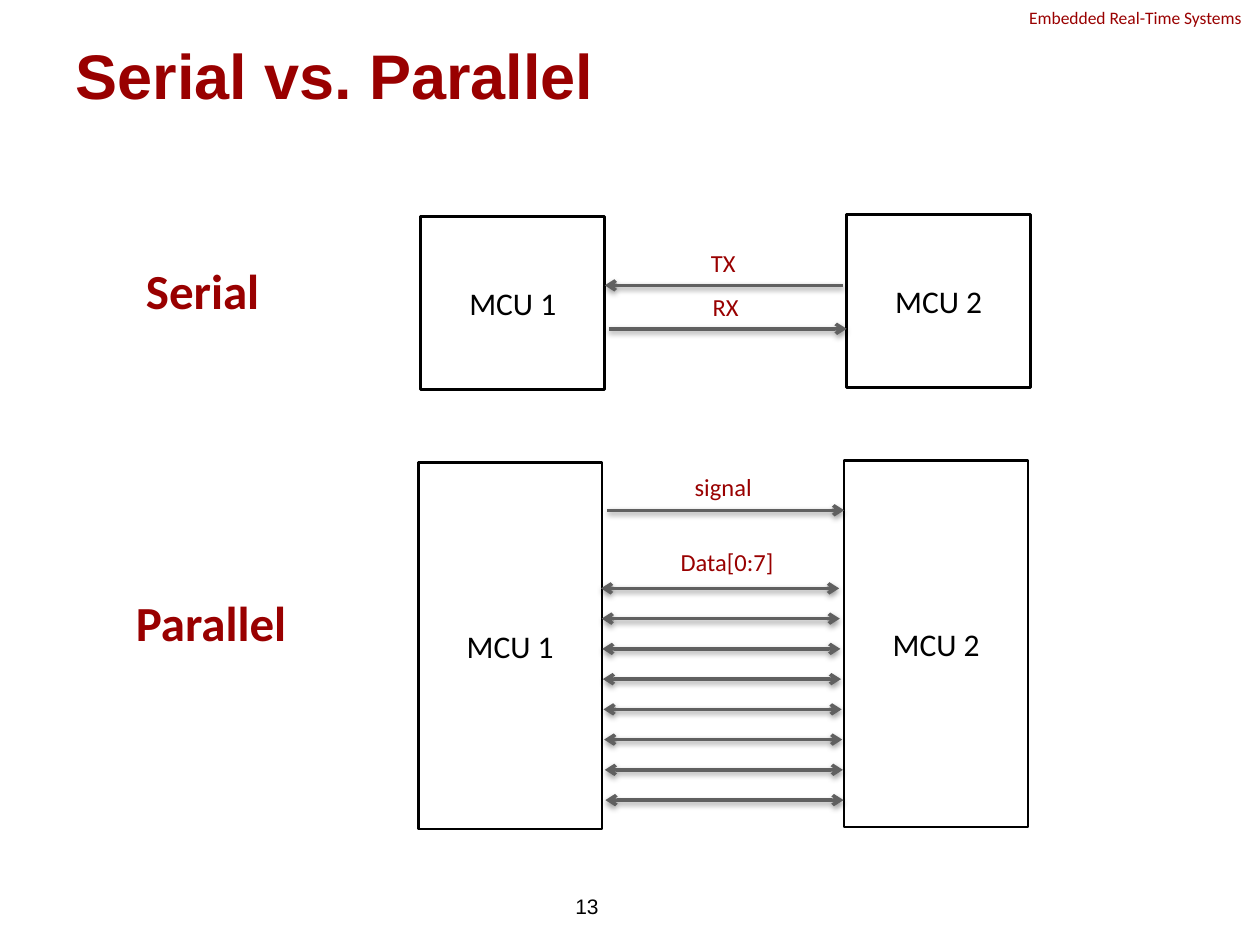
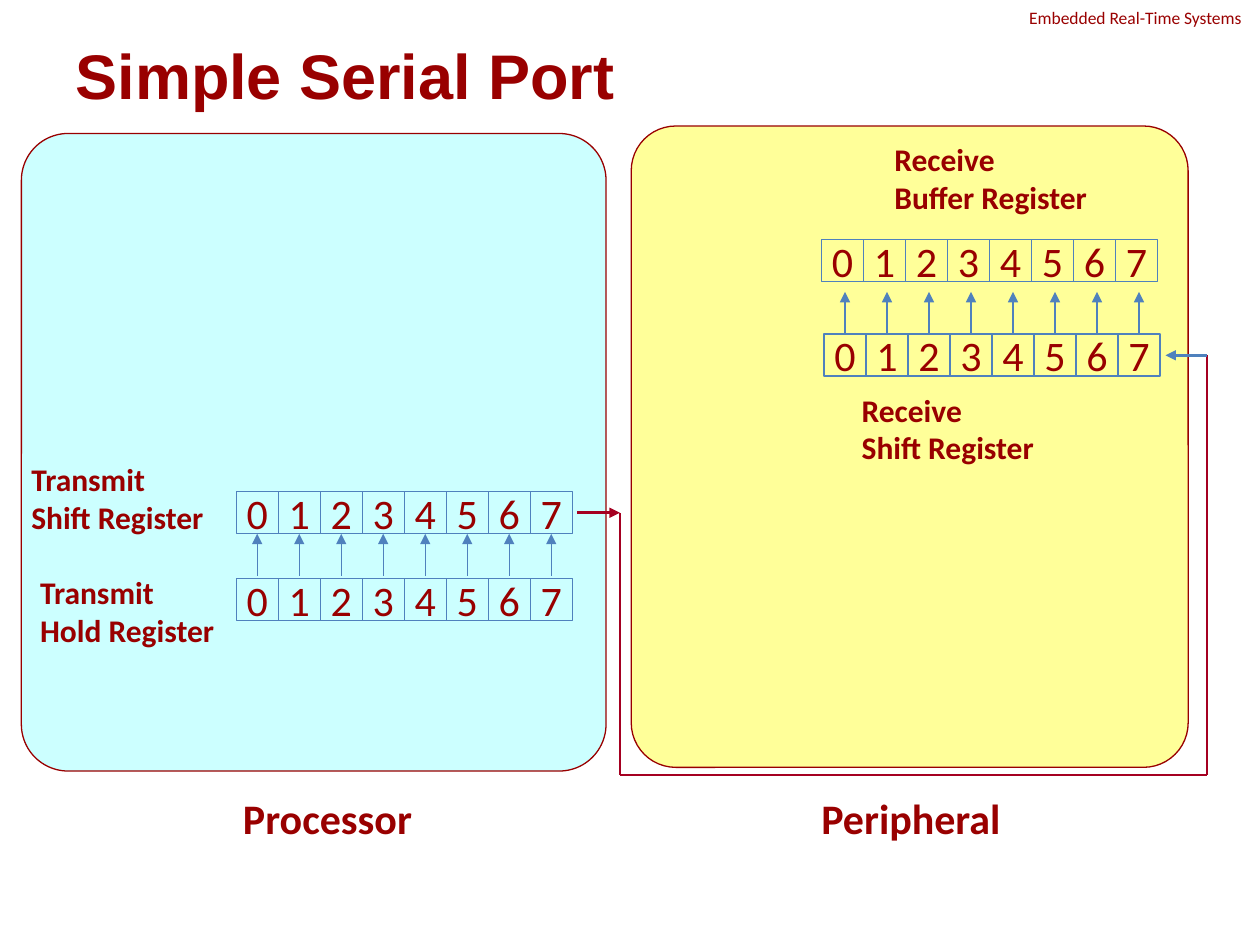
from dataclasses import dataclass
from itertools import pairwise

from lxml import etree
from pptx import Presentation
from pptx.dml.color import RGBColor
from pptx.enum.shapes import MSO_CONNECTOR, MSO_SHAPE
from pptx.enum.text import MSO_ANCHOR, MSO_AUTO_SIZE, PP_ALIGN
from pptx.oxml.ns import qn
from pptx.util import Inches, Pt

STRAIGHT = MSO_CONNECTOR.STRAIGHT
RECTANGLE, ROUNDED = MSO_SHAPE.RECTANGLE, MSO_SHAPE.ROUNDED_RECTANGLE
TOP, MIDDLE = MSO_ANCHOR.TOP, MSO_ANCHOR.MIDDLE
FIXED, GROW = MSO_AUTO_SIZE.NONE, MSO_AUTO_SIZE.SHAPE_TO_FIT_TEXT
LEFT, CENTER, RIGHT = PP_ALIGN.LEFT, PP_ALIGN.CENTER, PP_ALIGN.RIGHT

TITLE_ONLY = 5
COLUMNS, ROWS = 100, 75  # the grid that all lengths are given in
BITS = 8
BIT = 10 / 3  # side of one register cell


@dataclass(frozen=True)
class Theme:
    # Colours
    accent: str = "990000"
    ink: str = "000000"
    signal: str = "606060"
    wire: str = "A50021"
    register: str = "4F81BD"
    processor: str = "CCFFFF"
    peripheral: str = "FFFF99"
    # Fonts and type sizes
    heading_font: str = "Arial"
    body_font: str = "Calibri"
    title: int = 36
    section: int = 28
    large: int = 24
    medium: int = 18
    small: int = 14
    number: int = 12
    header: int = 10
    # Line widths
    thin: float = 0.75
    medium_line: float = 1.5
    thick: float = 2


def apply(target, values):
    for name, value in values.items():
        setattr(target, name, value)


class Sketch:
    """Draws the elements of the current page in one style."""

    def __init__(self, deck, theme):
        self.deck, self.theme = deck, theme
        self.page = None

    def x(self, columns):
        return round(self.deck.slide_width * columns / COLUMNS)

    def y(self, rows):
        return round(self.deck.slide_height * rows / ROWS)

    def area(self, left, top, width, height):
        return self.x(left), self.y(top), self.x(width), self.y(height)

    def new_page(self, title):
        theme = self.theme
        self.page = self.deck.slides.add_slide(self.deck.slide_layouts[TITLE_ONLY])
        self.label("Embedded Real-Time Systems", (80.7, 0.1, 19.3, 2.7), theme.header)
        box = self.page.shapes.title
        sides = ("left", "top", "width", "height")
        apply(box, dict(zip(sides, self.area(5, 3, 90, 5.8))))
        self.set_text(box, title, theme.title, bold=True, font=theme.heading_font,
                      anchor=MIDDLE)

    def set_text(self, box, text, size, color=None, bold=False, align=LEFT,
                 anchor=TOP, wrap=True, grow=False, font=None):
        frame = box.text_frame
        apply(frame, {"text": text, "word_wrap": wrap, "vertical_anchor": anchor,
                      "auto_size": GROW if grow else FIXED})
        for para in frame.paragraphs:
            para.alignment = align
            for span in para.runs:
                apply(span.font, {"name": font or self.theme.body_font,
                                  "size": Pt(size), "bold": bold})
                span.font.color.rgb = RGBColor.from_string(color or self.theme.accent)

    def label(self, text, area, size, **style):
        box = self.page.shapes.add_textbox(*self.area(*area))
        self.set_text(box, text, size, **{"grow": True, **style})

    def outline(self, line, color, width):
        line.color.rgb = RGBColor.from_string(color)
        line.width = Pt(width)

    def box(self, area, line, width, fill=None, kind=RECTANGLE, shapes=None):
        box = (shapes or self.page.shapes).add_shape(kind, *self.area(*area))
        box.shadow.inherit = False
        if fill:
            box.fill.solid()
            box.fill.fore_color.rgb = RGBColor.from_string(fill)
        else:
            box.fill.background()
        self.outline(box.line, line, width)
        return box

    def panel(self, area, fill):
        panel = self.box(area, self.theme.accent, self.theme.thin, fill, ROUNDED)
        panel.adjustments[0] = 0.08

    def controller(self, name, area):
        box = self.box(area, self.theme.ink, self.theme.medium_line)
        self.set_text(box, name, self.theme.medium, self.theme.ink,
                      align=CENTER, anchor=MIDDLE)

    def register(self, left, top):
        shapes = self.page.shapes.add_group_shape().shapes
        for bit in range(BITS):
            cell = self.box((left + bit * BIT, top, BIT, BIT), self.theme.register,
                            self.theme.thin, shapes=shapes)
            self.set_text(cell, str(bit), self.theme.large, align=CENTER,
                          anchor=MIDDLE, wrap=False)

    def line(self, start, end, color, width, head=None, tail=None, shadow=False):
        line = self.page.shapes.add_connector(
            STRAIGHT, self.x(start[0]), self.y(start[1]), self.x(end[0]), self.y(end[1]))
        self.outline(line.line, color, width)
        properties = line._element.spPr
        stroke = properties.find(qn("a:ln"))
        for tag, kind in (("a:headEnd", head), ("a:tailEnd", tail)):
            if kind:
                etree.SubElement(stroke, qn(tag), type=kind)
        effects = etree.SubElement(properties, qn("a:effectLst"))
        if shadow:
            cast = etree.SubElement(effects, qn("a:outerShdw"), blurRad="40000",
                                    dist="20000", dir="5400000", rotWithShape="0")
            shade = etree.SubElement(cast, qn("a:srgbClr"), val=self.theme.ink)
            etree.SubElement(shade, qn("a:alpha"), val="38000")

    def signal(self, start, end, head=None):
        self.line(start, end, self.theme.signal, self.theme.thick, head, "arrow", True)

    def transfers(self, left, bottom):
        for bit in range(BITS):
            center = left + (bit + 0.5) * BIT
            self.line((center, bottom), (center, bottom - BIT), self.theme.register,
                      self.theme.thin, tail="triangle")


def serial_and_parallel(sketch):
    theme = sketch.theme
    sketch.new_page("Serial vs. Parallel")
    sketch.label("13", (25.2, 69.9, 23.3, 4), theme.number, color=theme.ink,
                 font=theme.heading_font, align=RIGHT, anchor=MIDDLE, grow=False)

    # Two pairs of controllers
    for left, top, height in ((33.4, 17.2, 13.7), (33.2, 36.7, 29.1)):
        sketch.controller("MCU 1", (left, top, 14.6, height))
        sketch.controller("MCU 2", (left + 33.8, top - 0.15, 14.6, height))

    # Single signals, then the data lines
    sketch.signal((66.9, 22.65), (48, 22.65))
    sketch.signal((48.3, 26.1), (67.2, 26.1))
    sketch.signal((48.2, 40.5), (67, 40.5))
    for bit in range(BITS):
        left, row = 47.7 + 0.05 * bit, 46.7 + 2.4 * bit
        sketch.signal((left, row), (left + 18.9, row), head="arrow")

    # Names of signals and modes
    for text, left, top in (("TX", 50.7, 19.2), ("RX", 50.9, 22.7),
                            ("signal", 50.7, 37), ("Data[0:7]", 51, 42.9)):
        sketch.label(text, (left, top, 13.4, 3.4), theme.small, align=CENTER)
    for text, left, top in (("Serial", 10.6, 20.2), ("Parallel", 9.8, 46.5)):
        sketch.label(text, (left, top, 18, 5.7), theme.section, bold=True)


def simple_serial_port(sketch):
    theme = sketch.theme
    sketch.new_page("Simple Serial Port")

    # Processor and peripheral with their registers
    sketch.panel((1.7, 10.6, 46.4, 50.6), theme.processor)
    sketch.panel((50.1, 10, 44.2, 50.9), theme.peripheral)
    for left, top in ((18.75, 39), (18.75, 45.9), (65.4, 26.5), (65.2, 19)):
        sketch.register(left, top)
    sketch.transfers(18.75, 45.7)
    sketch.transfers(65.4, 26.5)

    # Wire from the transmit to the receive shift register
    wire = [(45.8, 40.7), (49.2, 40.7), (49.2, 61.5), (95.8, 61.5), (95.8, 28.2)]
    for index, (start, end) in enumerate(pairwise(wire)):
        sketch.line(start, end, theme.wire, theme.medium_line,
                    tail=None if index else "triangle")
    sketch.line(wire[-1], (92.5, 28.2), theme.register, theme.medium_line,
                tail="triangle")

    # Names of registers and panels
    for text, left, top, width in (("Transmit\nHold Register", 2.2, 45, 16.9),
                                   ("Transmit\nShift Register", 1.5, 36, 16.8),
                                   ("Receive\nShift Register", 67.4, 30.5, 16.8),
                                   ("Receive\nBuffer Register", 70, 10.6, 18.5)):
        sketch.label(text, (left, top, width, 7.1), theme.medium, bold=True, wrap=False)
    for text, left, width in (("Processor", 18.3, 15.9), ("Peripheral", 64.2, 17.2)):
        sketch.label(text, (left, 62.4, width, 5), theme.large, bold=True, wrap=False)


def main():
    deck = Presentation()
    apply(deck, {"slide_width": Inches(10), "slide_height": Inches(7.5)})
    sketch = Sketch(deck, Theme())
    serial_and_parallel(sketch)
    simple_serial_port(sketch)
    deck.save("out.pptx")


if __name__ == "__main__":
    main()
